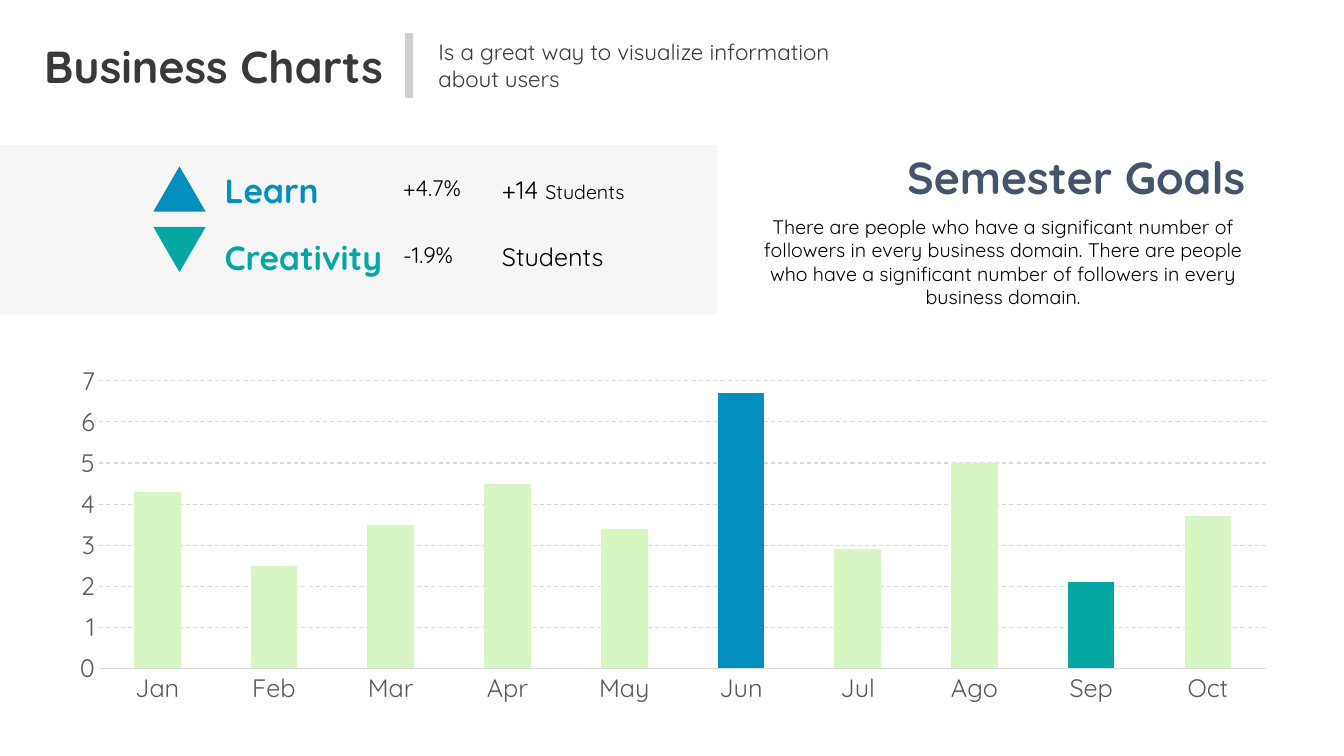
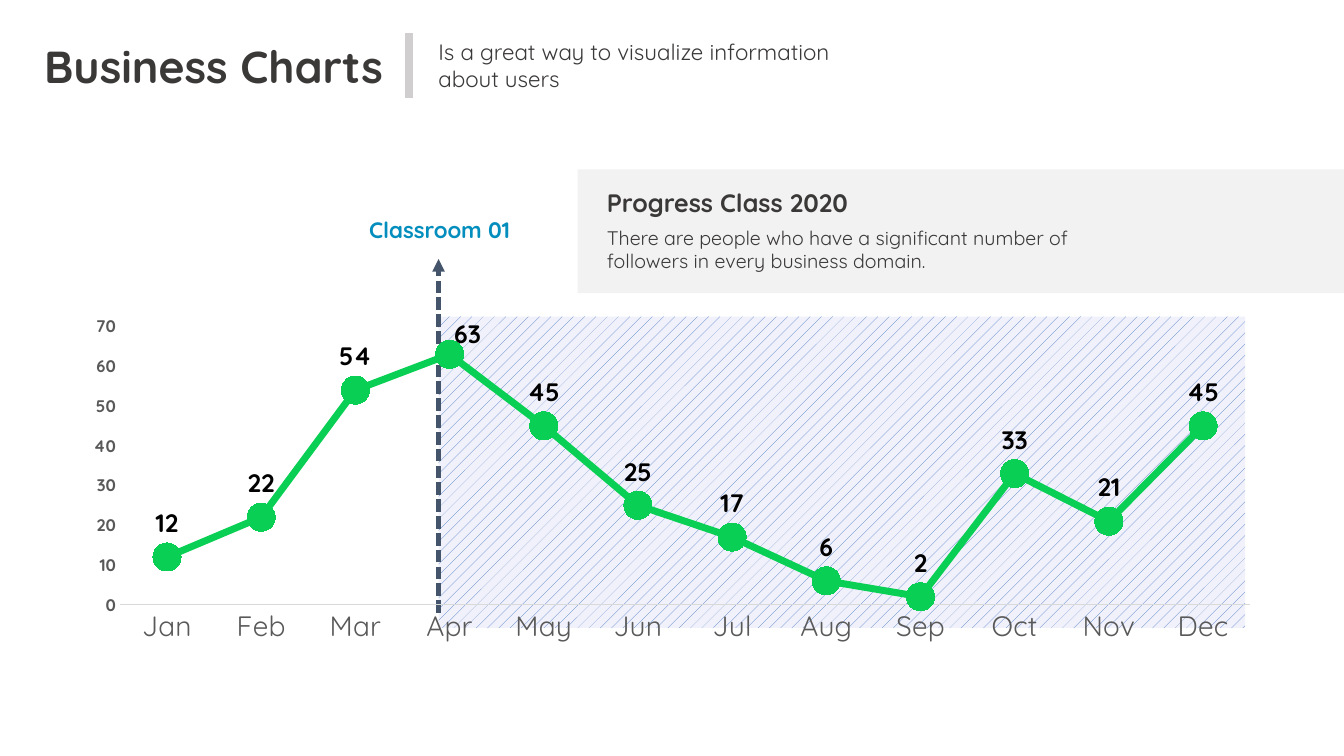
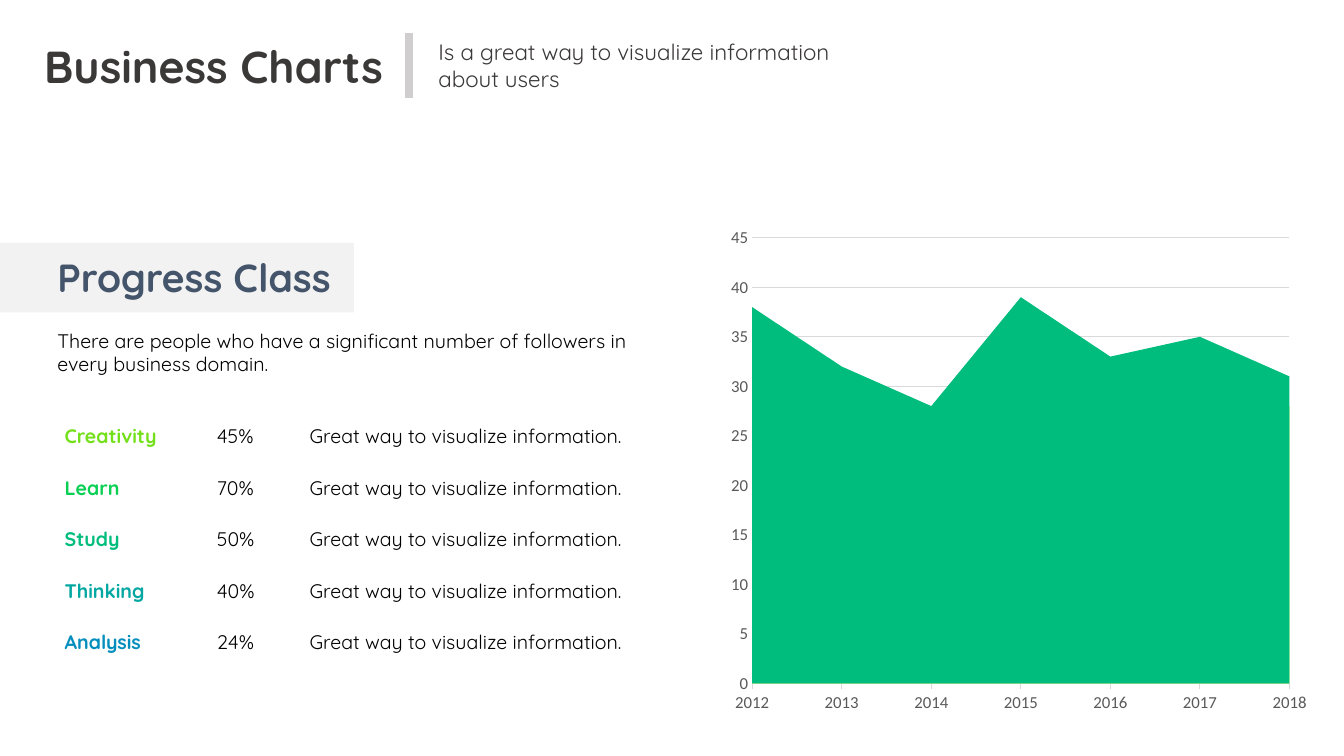
"""Build three business chart slides that share one header and theme."""
import dataclasses

import pptx
import pptx.chart.data
import pptx.dml.color
import pptx.enum.chart
import pptx.enum.dml
import pptx.enum.shapes
import pptx.enum.text
import pptx.oxml
import pptx.oxml.ns
import pptx.util

Inches = pptx.util.Inches
Pt = pptx.util.Pt
Shapes = pptx.enum.shapes.MSO_SHAPE
Dash = pptx.enum.dml.MSO_LINE
ChartType = pptx.enum.chart.XL_CHART_TYPE
Tick = pptx.enum.chart.XL_TICK_MARK
Align = pptx.enum.text.PP_ALIGN
qn = pptx.oxml.ns.qn
nsdecls = pptx.oxml.ns.nsdecls


@dataclasses.dataclass(frozen=True)
class Theme:
    font: str = "Quicksand"
    plain_font: str = "Calibri"
    black: str = "000000"
    ink: str = "3B3838"
    slate: str = "44546A"
    axis_text: str = "595959"
    divider: str = "D0CECE"
    rule: str = "D9D9D9"
    band: str = "F2F2F2"
    hatch: str = "4472C4"
    hatch_back: str = "F0F1FA"
    pale: str = "D7F6C4"
    lime: str = "73E019"
    green: str = "09D054"
    emerald: str = "00BD7D"
    teal: str = "04A7A2"
    blue: str = "048EBD"
    title: int = 32
    section: int = 28
    heading: int = 24
    axis: int = 20
    lead: int = 18
    subtitle: int = 16
    body: int = 14
    small: int = 12


THEME = Theme()


def rgb(color):
    return pptx.dml.color.RGBColor.from_string(color)


def set_font(font, size, color=THEME.black, bold=False, name=THEME.font):
    font.name, font.size, font.bold = name, Pt(size), bold
    font.color.rgb = rgb(color)


def paint(element_format, color):
    element_format.fill.solid()
    element_format.fill.fore_color.rgb = rgb(color)


class Deck:
    def __init__(self):
        self.presentation = pptx.Presentation()
        self.presentation.slide_width = Inches(13.33)
        self.presentation.slide_height = Inches(7.5)
        self.slide = None

    def new_slide(self):
        self.slide = self.presentation.slides.add_slide(self.presentation.slide_layouts[5])

    def header(self, title, subtitle):
        shape = self.slide.shapes.title
        shape.left, shape.top, shape.width, shape.height = map(Inches, (0.18, 0.33, 3.88, 0.64))
        self.set_text(shape, title, THEME.title, THEME.ink, True, Align.CENTER)
        self.text((4.25, 0.33, 4.51, 0.64), subtitle, THEME.subtitle, THEME.ink)
        self.line((4.06, 0.33), (4.06, 0.97), THEME.divider, 5.5)

    def set_text(self, shape, text, size, color, bold, align):
        frame = shape.text_frame
        frame.word_wrap = True
        frame.auto_size = pptx.enum.text.MSO_AUTO_SIZE.NONE
        frame.vertical_anchor = pptx.enum.text.MSO_ANCHOR.TOP
        paragraph = frame.paragraphs[0]
        paragraph.text = text
        paragraph.alignment = align
        set_font(paragraph.font, size, color, bold)
        return paragraph

    def text(self, box, text, size, color=THEME.black, bold=False, align=Align.LEFT):
        shape = self.slide.shapes.add_textbox(*map(Inches, box))
        return self.set_text(shape, text, size, color, bold, align)

    def shape(self, kind, box, color, rotation=0, opacity=None):
        shape = self.slide.shapes.add_shape(kind, *map(Inches, box))
        shape.shadow.inherit = False
        shape.rotation = rotation
        shape.line.fill.background()
        paint(shape, color)
        if opacity:
            color_element = next(shape._element.spPr.iter(qn("a:srgbClr")))
            alpha = pptx.oxml.parse_xml(f'<a:alpha {nsdecls("a")} val="{opacity * 1000}"/>')
            color_element.append(alpha)
        return shape

    def hatched(self, box):
        fill = self.shape(Shapes.RECTANGLE, box, THEME.hatch_back).fill
        fill.patterned()
        fill.pattern = pptx.enum.dml.MSO_PATTERN.PERCENT_10
        fill.fore_color.rgb = rgb(THEME.hatch)
        fill.back_color.rgb = rgb(THEME.hatch_back)

    def line(self, start, end, color, width, dash=None, arrow=False):
        connector = self.slide.shapes.add_connector(
            pptx.enum.shapes.MSO_CONNECTOR.STRAIGHT, *map(Inches, start + end))
        connector.line.color.rgb = rgb(color)
        connector.line.width = Pt(width)
        if dash:
            connector.line.dash_style = dash
        properties = connector._element.spPr
        if arrow:
            head = pptx.oxml.parse_xml(f'<a:tailEnd {nsdecls("a")} type="triangle"/>')
            properties.find(qn("a:ln")).append(head)
        properties.append(pptx.oxml.parse_xml(f'<a:effectLst {nsdecls("a")}/>'))

    def table(self, left, top, widths, row_height, rows, colors):
        table = self.slide.shapes.add_table(
            len(rows), len(widths), Inches(left), Inches(top),
            Inches(sum(widths)), Inches(row_height * len(rows))).table
        table.first_row = table.horz_banding = False
        for column, width in zip(table.columns, widths):
            column.width = Inches(width)
        for row, values, color in zip(table.rows, rows, colors):
            for index, (cell, value) in enumerate(zip(row.cells, values)):
                cell.fill.background()
                paragraph = cell.text_frame.paragraphs[0]
                paragraph.text = value
                is_label = index == 0
                set_font(paragraph.font, THEME.body, color if is_label else THEME.black, is_label)

    def chart(self, kind, box, plot_box, categories, series, maximum, unit,
              category_size, value_size, value_bold=False, name=THEME.font, crossing="between"):
        data = pptx.chart.data.CategoryChartData()
        data.categories = categories
        for index, values in enumerate(series, 1):
            data.add_series(f"Series {index}", values)
        chart = self.slide.shapes.add_chart(kind, *map(Inches, box), data).chart
        chart.has_legend = chart.has_title = False
        set_font(chart.font, THEME.lead, name=name)
        chart.plots[0].vary_by_categories = False

        category_axis, value_axis = chart.category_axis, chart.value_axis
        set_font(category_axis.tick_labels.font, category_size, THEME.axis_text, name=name)
        set_font(value_axis.tick_labels.font, value_size, THEME.axis_text, value_bold, name)
        category_axis.format.line.color.rgb = rgb(THEME.rule)
        category_axis.format.line.width = Pt(0.75)
        value_axis.format.line.fill.background()
        for axis in (category_axis, value_axis):
            axis.major_tick_mark = axis.minor_tick_mark = Tick.NONE
            axis.has_major_gridlines = False
        value_axis.minimum_scale, value_axis.maximum_scale = 0, maximum
        value_axis.major_unit = unit

        element = value_axis._element
        for old in element.findall(qn("c:crossBetween")):
            element.remove(old)
        element.find(qn("c:crosses")).addnext(
            pptx.oxml.parse_xml(f'<c:crossBetween {nsdecls("c")} val="{crossing}"/>'))
        self.place_plot(chart, box, plot_box)
        return chart

    def place_plot(self, chart, box, plot_box):
        left, top, width, height = box
        x, y, w, h = plot_box
        fractions = {"x": (x - left) / width, "y": (y - top) / height,
                     "w": w / width, "h": h / height}
        modes = "".join(f'<c:{key}Mode val="edge"/>' for key in "xy")
        sizes = "".join(f'<c:{key} val="{value:.4f}"/>' for key, value in fractions.items())
        area = chart._chartSpace.chart.plotArea
        for old in area.findall(qn("c:layout")):
            area.remove(old)
        area.insert(0, pptx.oxml.parse_xml(
            f'<c:layout {nsdecls("c")}><c:manualLayout><c:layoutTarget val="inner"/>'
            f'{modes}{sizes}</c:manualLayout></c:layout>'))

    def gridlines(self, chart, dash=None):
        line = chart.value_axis.major_gridlines.format.line
        line.color.rgb = rgb(THEME.rule)
        line.width = Pt(0.75)
        if dash:
            line.dash_style = dash

    def value_labels(self, series, shifted_point, shift):
        above = pptx.enum.chart.XL_LABEL_POSITION.ABOVE
        labels = series.data_labels
        labels.show_value = True
        shifted = series.points[shifted_point].data_label
        for label in (labels, shifted):
            set_font(label.font, THEME.lead, bold=True)
            label.position = above
        index = series._element.find(".//" + qn("c:dLbl")).find(qn("c:idx"))
        index.addnext(pptx.oxml.parse_xml(
            f'<c:layout {nsdecls("c")}><c:manualLayout><c:x val="{shift[0]}"/>'
            f'<c:y val="{shift[1]}"/></c:manualLayout></c:layout>'))


HEADER = ("Business Charts", "Is a great way to visualize information about users")
SENTENCE = "There are people who have a significant number of followers in every business domain."


def semester_goals(deck):
    deck.new_slide()
    deck.header(*HEADER)
    deck.shape(Shapes.RECTANGLE, (0, 1.44, 7.11, 1.68), THEME.band, opacity=62)
    chart = deck.chart(
        ChartType.COLUMN_STACKED, (0.54, 3.55, 12.26, 3.5), (0.98, 3.78, 11.58, 2.85),
        ["Jan", "Feb", "Mar", "Apr", "May", "Jun", "Jul", "Ago", "Sep", "Oct"],
        [[4.3, 2.5, 3.5, 4.5, 3.4, 6.7, 2.9, 5, 2.1, 3.7]], 7, 1, THEME.lead, THEME.lead)
    deck.gridlines(chart, Dash.DASH)
    plot = chart.plots[0]
    plot.gap_width, plot.overlap = 150, 100
    columns = plot.series[0]
    paint(columns.format, THEME.pale)
    for index, color in ((5, THEME.blue), (8, THEME.teal)):
        paint(columns.points[index].format, color)

    deck.text((7.38, 2.08, 5.14, 1.04), f"{SENTENCE} {SENTENCE}", THEME.body, align=Align.CENTER)
    deck.text((8.83, 1.44, 3.69, 0.64), "Semester Goals", THEME.title, THEME.slate, True,
              Align.CENTER)
    trends = (("Learn", "+4.7%", "+14 ", THEME.blue, 1.64, 1.65, 0),
              ("Creativity", "-1.9%", "Students", THEME.teal, 2.3, 2.25, 180))
    for label, change, count, color, top, triangle_top, rotation in trends:
        deck.shape(Shapes.ISOSCELES_TRIANGLE, (1.52, triangle_top, 0.52, 0.45), color, rotation)
        deck.text((2.13, top, 2.28, 0.5), label, THEME.heading, color, True)
        deck.text((3.9, top + 0.04, 0.88, 0.37), change, THEME.subtitle)
        paragraph = deck.text((4.88, top + 0.04, 1.57, 0.4), count, THEME.lead)
        if label == "Learn":
            unit = paragraph.add_run()
            unit.text = "Students"
            unit.font.size = Pt(THEME.body)


def class_timeline(deck):
    deck.new_slide()
    deck.shape(Shapes.RECTANGLE, (5.73, 1.68, 7.6, 1.23), THEME.band)
    deck.header(*HEADER)
    deck.hatched((4.35, 3.14, 8, 3.09))
    callout = deck.text((3.44, 2.17, 1.84, 0.35), "Classroom 01", THEME.subtitle, THEME.blue,
                        True, Align.CENTER)
    callout.line_spacing = 0.7
    deck.line((4.35, 6.08), (4.35, 2.57), THEME.slate, 3, Dash.SQUARE_DOT, arrow=True)
    chart = deck.chart(
        ChartType.LINE_MARKERS, (0.7, 3.07, 11.94, 3.39), (1.19, 3.24, 11.21, 2.76),
        ["Jan", "Feb", "Mar", "Apr", "May", "Jun", "Jul", "Aug", "Sep", "Oct", "Nov", "Dec"],
        [[12, 22, 54, 63, 45, 25, 17, 6, 2, 33, 21, 45]], 70, 10,
        THEME.axis, THEME.small, value_bold=True)
    progress = chart.plots[0].series[0]
    progress.smooth = False
    progress.format.line.color.rgb = rgb(THEME.green)
    progress.format.line.width = Pt(5)
    progress.marker.style = pptx.enum.chart.XL_MARKER_STYLE.CIRCLE
    progress.marker.size = 20
    paint(progress.marker.format, THEME.green)
    progress.marker.format.line.fill.background()
    deck.value_labels(progress, 3, (0.015, 0.04))
    deck.text((5.92, 2.19, 4.88, 0.57), SENTENCE, THEME.body, THEME.ink)
    deck.text((5.92, 1.81, 3.21, 0.4), "Progress Class 2020", THEME.lead, THEME.ink, True)


def class_progress(deck):
    deck.new_slide()
    deck.shape(Shapes.RECTANGLE, (0, 2.41, 3.51, 0.69), THEME.band)
    deck.header(*HEADER)
    chart = deck.chart(
        ChartType.AREA, (7.14, 2.17, 5.93, 5), (7.46, 2.36, 5.33, 4.42),
        [str(year) for year in range(2012, 2019)],
        [[38, 32, 28, 39, 33, 35, 31], [27, 17, 22, 18, 28, 26, 28]], 45, 5,
        THEME.small, THEME.small, name=THEME.plain_font, crossing="midCat")
    deck.gridlines(chart)
    chart.category_axis.major_tick_mark = Tick.OUTSIDE
    for series, color in zip(chart.plots[0].series, (THEME.emerald, THEME.lime)):
        paint(series.format, color)
    skills = (("Creativity", "45%"), ("Learn", "70%"), ("Study", "50%"),
              ("Thinking", "40%"), ("Analysis", "24%"))
    rows = [(*skill, "Great way to visualize information.") for skill in skills]
    deck.table(0.54, 4.16, (1.51, 0.92, 3.57), 0.51, rows,
               (THEME.lime, THEME.green, THEME.emerald, THEME.teal, THEME.blue))
    deck.text((0.47, 3.21, 6.19, 0.57), SENTENCE, THEME.body)
    deck.text((0.47, 2.46, 3.35, 0.57), "Progress Class", THEME.section, THEME.slate, True)


def main():
    deck = Deck()
    for build in (semester_goals, class_timeline, class_progress):
        build(deck)
    deck.presentation.save("out.pptx")


if __name__ == "__main__":
    main()
